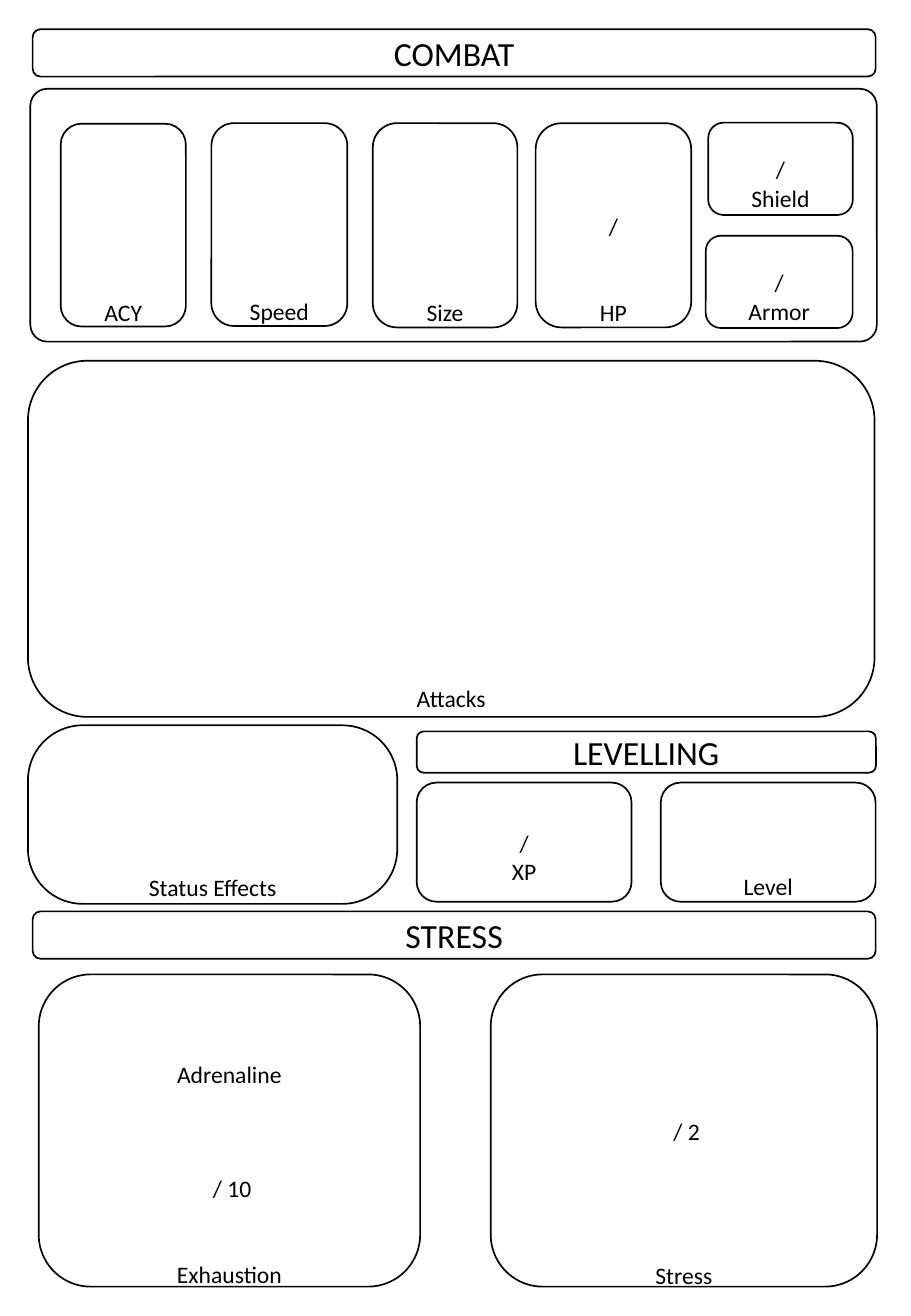
from pptx import Presentation
from pptx.dml.color import RGBColor
from pptx.enum.shapes import MSO_SHAPE as Shape
from pptx.enum.text import MSO_ANCHOR as Anchor, PP_ALIGN as Align
from pptx.util import Pt

COLORS = {"ink": "000000", "paper": "FFFFFF"}
FONT = "Calibri"
LINE_HEIGHT = 1.22  # height of a Calibri line relative to its size


def write_text(paragraph, text, size=14, color="ink", align=Align.CENTER):
    paragraph.alignment = align
    run = paragraph.add_run()
    run.text = text
    run.font.name = FONT
    run.font.size = Pt(size)
    run.font.color.rgb = RGBColor.from_string(COLORS[color])


class Sheet:
    def __init__(self, slide, label_size=14, title_size=20):
        self.slide = slide
        self.label_size = label_size
        self.title_size = title_size

    def frame(self, left, top, width, height, rounding=None):
        shape = self.slide.shapes.add_shape(
            Shape.ROUNDED_RECTANGLE, Pt(left), Pt(top), Pt(width), Pt(height))
        if rounding is not None:
            shape.adjustments[0] = rounding
        shape.shadow.inherit = False
        shape.fill.solid()
        shape.fill.fore_color.rgb = RGBColor.from_string(COLORS["paper"])
        shape.line.color.rgb = RGBColor.from_string(COLORS["ink"])
        shape.line.width = Pt(1)
        return shape

    def title(self, text, left, top, width, height):
        text_frame = self.frame(left, top, width, height).text_frame
        text_frame.vertical_anchor = Anchor.MIDDLE
        write_text(text_frame.paragraphs[0], text, size=self.title_size)

    def field(self, labels, left, top, width, height, rounding=None):
        """Place labels on numbered text rows; the last row ends the block."""
        text_frame = self.frame(left, top, width, height, rounding).text_frame
        text_frame.word_wrap = True
        text_frame.vertical_anchor = Anchor.MIDDLE
        row_height = self.label_size * LINE_HEIGHT
        previous_row = None
        for row, text in labels:
            if previous_row is None:
                # A tall first line lowers its text onto the right row
                paragraph = text_frame.paragraphs[0]
                paragraph.line_spacing = Pt((row + 1) * row_height)
            else:
                paragraph = text_frame.add_paragraph()
                paragraph.space_before = Pt((row - previous_row - 1) * row_height)
            write_text(paragraph, text, size=self.label_size)
            previous_row = row


def main():
    presentation = Presentation()
    presentation.slide_width = Pt(540)
    presentation.slide_height = Pt(779.76)
    slide = presentation.slides.add_slide(presentation.slide_layouts[6])
    sheet = Sheet(slide)

    # Combat
    sheet.title("COMBAT", 19.4, 17.3, 499.7, 28.1)
    sheet.frame(18, 52.6, 501.8, 149.8, rounding=0.067)
    sheet.field([(6, "ACY")], 36, 73.3, 74.2, 120.2)
    sheet.field([(6, "Speed")], 125.3, 73, 80.6, 120.2)
    sheet.field([(6, "Size")], 221, 73, 85.7, 121)
    sheet.field([(3, "/"), (6, "HP")], 317.5, 73, 92.2, 121)
    sheet.field([(1, "/"), (2, "Shield")], 419.8, 72.7, 85.7, 54.7)
    sheet.field([(1, "/"), (2, "Armor")], 418.3, 139.7, 87.1, 54.7)
    sheet.field([(11, "Attacks")], 16.6, 213.8, 501.8, 211)
    sheet.field([(5, "Status Effects")], 16.6, 429.8, 218.9, 105.8, rounding=0.307)

    # Levelling
    sheet.title("LEVELLING", 247, 433.4, 272.2, 24.5)
    sheet.field([(1, "/"), (2, "XP")], 247, 463.7, 127.4, 70.6)
    sheet.field([(3, "Level")], 391.7, 463.7, 127.4, 70.6)

    # Stress
    sheet.title("STRESS", 19.4, 540, 499.7, 28.1)
    sheet.field([(3, "Adrenaline"), (7, " / 10"), (10, "Exhaustion")],
                23, 577.4, 226.1, 185)
    sheet.field([(5, " / 2"), (10, "Stress")], 290.9, 577.4, 229, 185)

    presentation.save("out.pptx")


if __name__ == "__main__":
    main()
